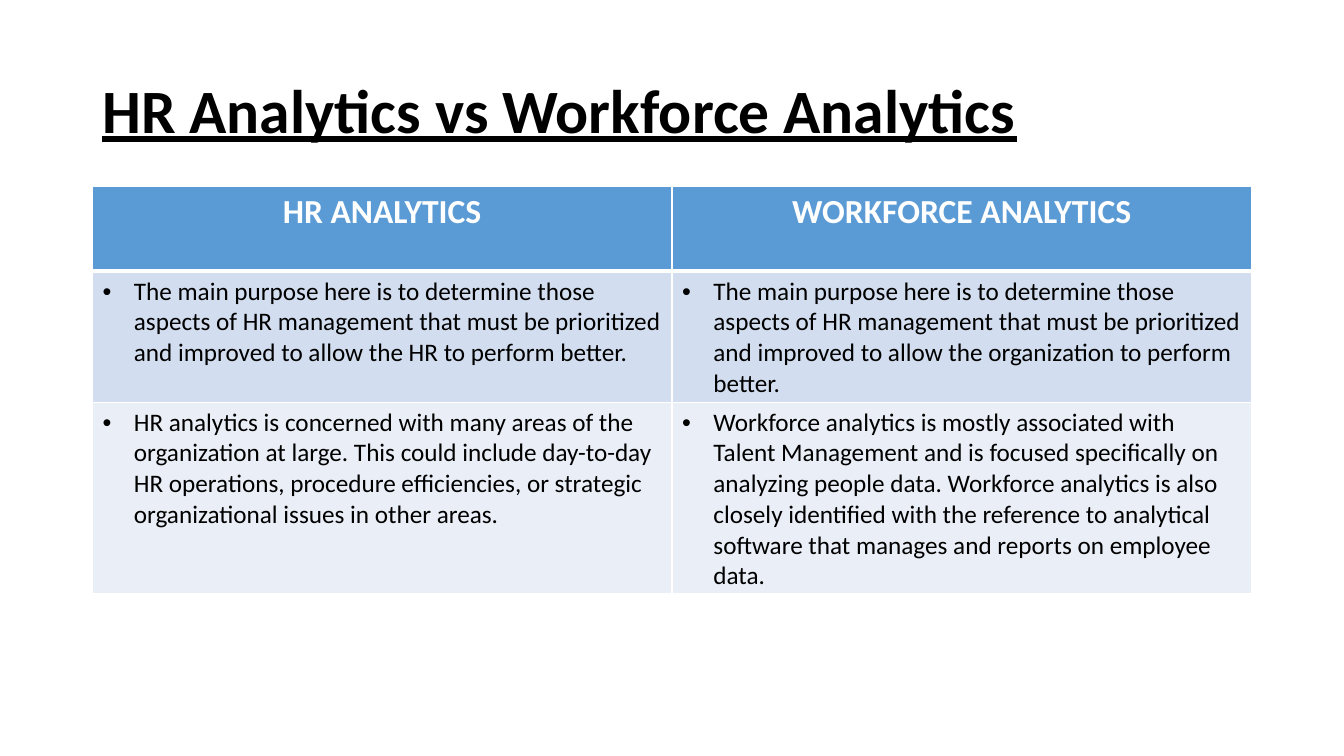
from dataclasses import dataclass

from lxml import etree
from pptx import Presentation
from pptx import util as u
from pptx.dml import color
from pptx.enum import text
from pptx.oxml import ns


@dataclass(frozen=True)
class Theme:
    font: str = "Calibri"
    ink: str = "000000"
    paper: str = "FFFFFF"
    header: str = "5B9BD5"
    bands: tuple = ("D2DEEF", "EAEFF7")
    title_size: int = 44
    header_size: int = 24
    body_size: int = 18
    rule: int = 1
    header_rule: int = 3


THEME = Theme()
LEFT, WIDTH = 2.33, 29.21
ROW_HEIGHT = 2.13
INDENT = 0.79

TITLE = "HR Analytics vs Workforce Analytics"
HEADERS = ("HR ANALYTICS", "WORKFORCE ANALYTICS")
COMPARISONS = (
    (
        "The main purpose here is to determine those aspects of HR management "
        "that must be prioritized and improved to allow the HR to perform better.",
        "The main purpose here is to determine those aspects of HR management "
        "that must be prioritized and improved to allow the organization to perform better.",
    ),
    (
        "HR analytics is concerned with many areas of the organization at large. "
        "This could include day-to-day HR operations, procedure efficiencies, "
        "or strategic organizational issues in other areas.",
        "Workforce analytics is mostly associated with Talent Management and is focused "
        "specifically on analyzing people data. Workforce analytics is also closely "
        "identified with the reference to analytical software that manages and reports "
        "on employee data.",
    ),
)


def style_font(para, size, ink, bold=False):
    para.font.name = THEME.font
    para.font.size = u.Pt(size)
    para.font.bold = bold
    para.font.color.rgb = color.RGBColor.from_string(ink)


def add_title(page):
    box = page.shapes.add_textbox(u.Cm(LEFT), u.Cm(1.01), u.Cm(WIDTH), u.Cm(3.68))
    frame = box.text_frame
    frame.word_wrap = True
    frame.vertical_anchor = text.MSO_ANCHOR.MIDDLE
    para = frame.paragraphs[0]
    para.text = TITLE
    para.line_spacing = 0.9
    style_font(para, THEME.title_size, THEME.ink, bold=True)
    para.font.underline = True


def add_bullet(para):
    properties = para._p.get_or_add_pPr()
    properties.set("marL", str(u.Cm(INDENT)))
    properties.set("indent", str(-u.Cm(INDENT)))
    etree.SubElement(properties, ns.qn("a:buFont")).set("typeface", "Arial")
    etree.SubElement(properties, ns.qn("a:buChar")).set("char", "•")


def set_borders(cell, top, bottom):
    properties = cell._tc.get_or_add_tcPr()
    widths = {"lnL": THEME.rule, "lnR": THEME.rule, "lnT": top, "lnB": bottom}
    for position, (side, width) in enumerate(widths.items()):
        line = etree.Element(ns.qn(f"a:{side}"), w=str(u.Pt(width)))
        fill = etree.SubElement(line, ns.qn("a:solidFill"))
        etree.SubElement(fill, ns.qn("a:srgbClr")).set("val", THEME.paper)
        properties.insert(position, line)


def fill_cell(cell, content, fill, top=THEME.rule, bottom=THEME.rule):
    cell.fill.solid()
    cell.fill.fore_color.rgb = color.RGBColor.from_string(fill)
    set_borders(cell, top, bottom)
    para = cell.text_frame.paragraphs[0]
    para.text = content
    return para


def add_comparison(page):
    frame = page.shapes.add_table(
        len(COMPARISONS) + 1, len(HEADERS), u.Cm(LEFT), u.Cm(4.7),
        u.Cm(WIDTH), u.Cm(ROW_HEIGHT * (len(COMPARISONS) + 1)),
    )
    table = frame.table
    for column, heading in enumerate(HEADERS):
        para = fill_cell(table.cell(0, column), heading, THEME.header,
                         bottom=THEME.header_rule)
        para.alignment = text.PP_ALIGN.CENTER
        style_font(para, THEME.header_size, THEME.paper, bold=True)
    for row, (points, band) in enumerate(zip(COMPARISONS, THEME.bands), start=1):
        top = THEME.header_rule if row == 1 else THEME.rule
        for column, point in enumerate(points):
            para = fill_cell(table.cell(row, column), point, band, top=top)
            add_bullet(para)
            style_font(para, THEME.body_size, THEME.ink)


def main():
    deck = Presentation()
    deck.slide_width, deck.slide_height = u.Cm(33.87), u.Cm(19.05)
    page = deck.slides.add_slide(deck.slide_layouts[6])
    add_title(page)
    add_comparison(page)
    deck.save("out.pptx")


if __name__ == "__main__":
    main()
